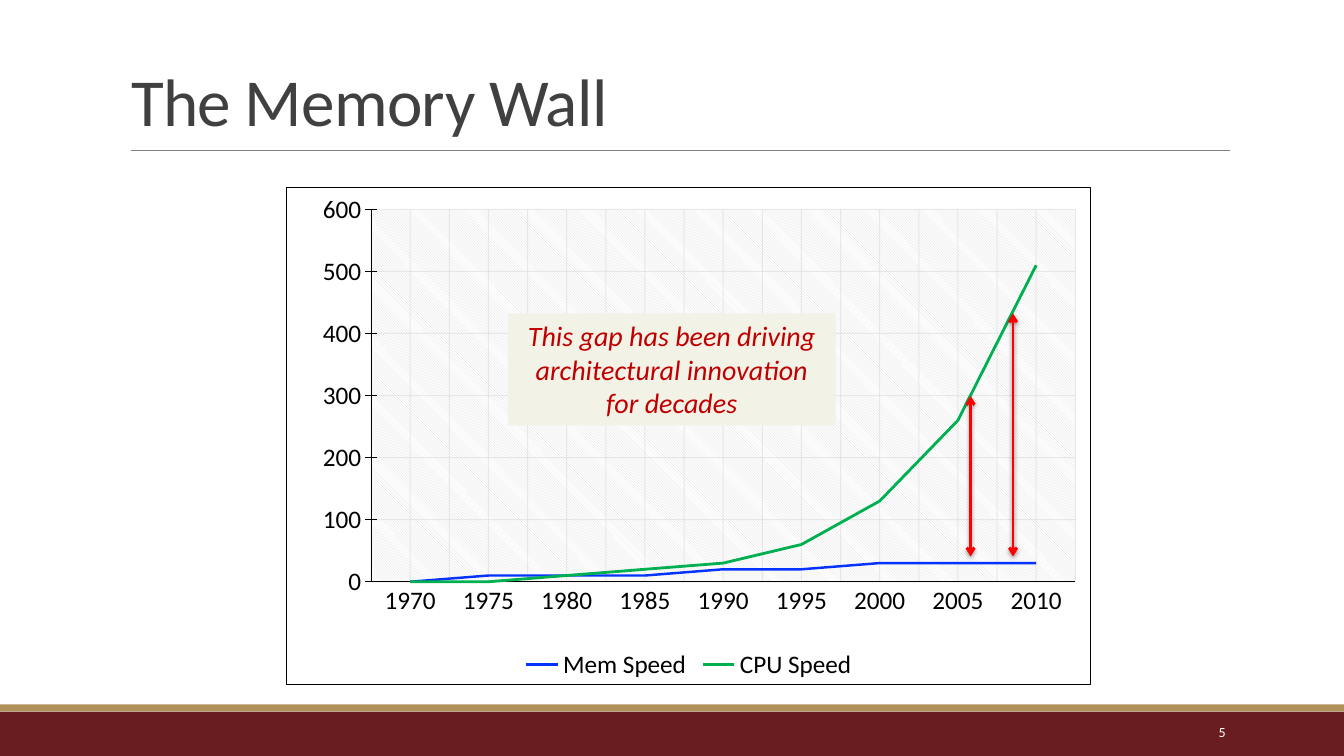
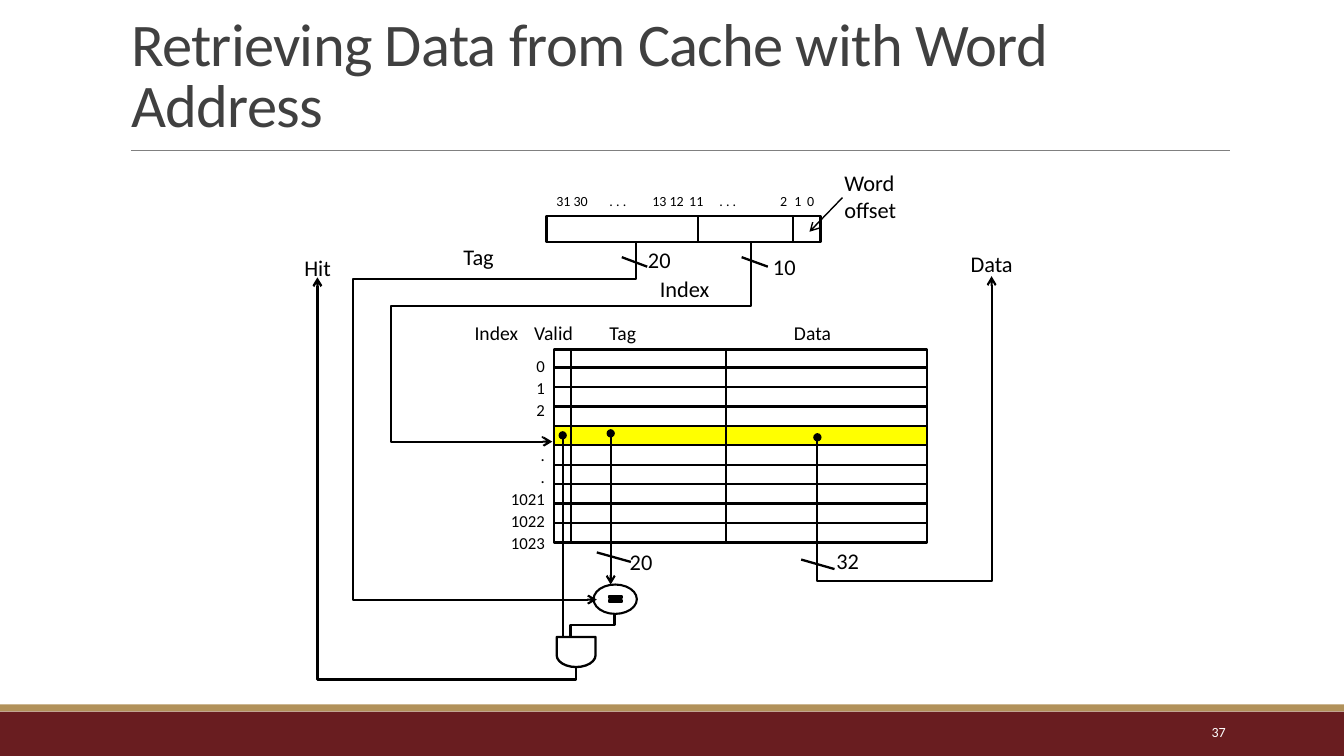
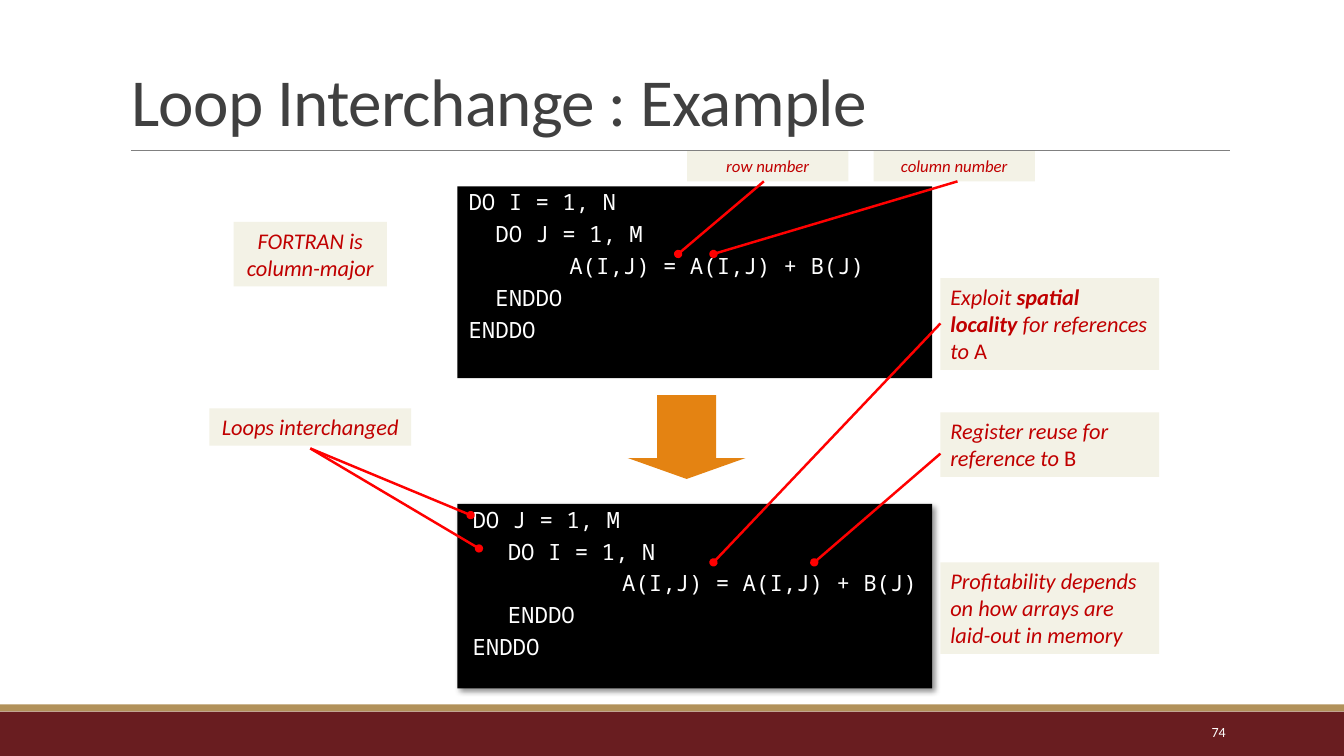
from math import cos, pi, sin

from lxml.etree import SubElement
from pptx import Presentation
from pptx.chart.data import CategoryChartData
from pptx.dml.color import RGBColor
from pptx.enum.chart import XL_CHART_TYPE, XL_LEGEND_POSITION, XL_TICK_MARK
from pptx.enum.shapes import MSO_CONNECTOR, MSO_SHAPE
from pptx.enum.text import MSO_ANCHOR, MSO_AUTO_SIZE, PP_ALIGN
from pptx.oxml import parse_xml
from pptx.oxml.ns import nsdecls, qn
from pptx.util import Cm, Pt

COLORS = {
    "ink": "000000", "white": "FFFFFF", "title": "404040", "rule": "808080",
    "maroon": "691D20", "gold": "B1915A", "note": "F3F2E6", "note_text": "C00000",
    "pointer": "FF0000", "memory": "0432FF", "cpu": "00B050", "grid": "D9D9D9",
    "selected": "FFFF00", "step": "E48312",
}
RGB = {name: RGBColor.from_string(value) for name, value in COLORS.items()}
FONT = "Calibri"
CODE_FONT = "Noto Sans Mono"
NOTE = {"color": "note_text", "fill": "note", "wrap": True, "italic": True}


def add_label(slide, text, box, size=16, color="ink", align=PP_ALIGN.LEFT,
              fill=None, wrap=False, extras=({},), **style):
    label = slide.shapes.add_textbox(*map(Cm, box))
    if fill:
        label.fill.solid()
        label.fill.fore_color.rgb = RGB[fill]
    frame = label.text_frame
    frame.word_wrap = wrap
    for number, line in enumerate(text.split("\n")):
        paragraph = frame.add_paragraph() if number else frame.paragraphs[0]
        paragraph.alignment = align
        for part, extra in zip(line.split("|"), extras):
            run = paragraph.add_run()
            run.text = part
            run.font.color.rgb = RGB[color]
            values = {"name": FONT, "size": Pt(size), **style, **extra}
            for name, value in values.items():
                setattr(run.font, name, value)
    return label


def draw_line(slide, points, color="ink", width=1.5, head=None, tail=None):
    corners = [(Cm(x), Cm(y)) for x, y in points]
    if len(corners) == 2:
        line = slide.shapes.add_connector(MSO_CONNECTOR.STRAIGHT, *corners[0], *corners[1])
    else:
        outline = slide.shapes.build_freeform(*corners[0])
        outline.add_line_segments(corners[1:], close=False)
        line = outline.convert_to_shape()
        line.fill.background()
    line.line.color.rgb = RGB[color]
    line.line.width = Pt(width)
    properties = line.element.spPr
    for end, kind in (("a:headEnd", head), ("a:tailEnd", tail)):
        if kind:
            SubElement(properties.find(qn("a:ln")), qn(end), type=kind)
    SubElement(properties, qn("a:effectLst"))
    return line


deck = Presentation()
deck.slide_width, deck.slide_height = Cm(33.87), Cm(19.05)
layout = deck.slide_layouts[5]

slides = []
for heading, size, page in [
    ("The Memory Wall", 48, "5"),
    ("Retrieving Data from Cache with Word Address", 43.2, "37"),
    ("Loop Interchange : Example", 48, "74"),
]:
    slide = deck.slides.add_slide(layout)
    title = slide.shapes.title
    title.left, title.top, title.width, title.height = map(Cm, (3.05, 0.79, 27.94, 2.87))
    frame = title.text_frame
    frame.text = heading
    for name, value in {"word_wrap": True, "auto_size": MSO_AUTO_SIZE.NONE,
                        "vertical_anchor": MSO_ANCHOR.BOTTOM}.items():
        setattr(frame, name, value)
    paragraph = frame.paragraphs[0]
    paragraph.alignment = PP_ALIGN.LEFT
    paragraph.line_spacing = 0.85
    run = paragraph.runs[0]
    run.font.name, run.font.size = FONT, Pt(size)
    run.font.color.rgb = RGB["title"]
    run.font._rPr.set("spc", "-50")
    page_number = add_label(slide, page, (27.51, 17.93, 3.63, 1.02), 10, "white",
                            PP_ALIGN.RIGHT, wrap=True)
    page_number.text_frame.vertical_anchor = MSO_ANCHOR.MIDDLE
    slides.append(slide)
wall, cache, loops = slides

shared = [draw_line(wall, [(3.3, 3.78), (30.99, 3.78)], "rule", 0.5)]
for top, height, color in [(17.93, 1.12, "maroon"), (17.75, 0.18, "gold")]:
    band = wall.shapes.add_shape(MSO_SHAPE.RECTANGLE, 0, Cm(top), deck.slide_width, Cm(height))
    band.shadow.inherit = False
    band.fill.solid()
    band.fill.fore_color.rgb = RGB[color]
    band.line.fill.background()
    shared.append(band)
for part in shared:
    layout.shapes.element.append(part.element)

speeds = CategoryChartData()
speeds.categories = [str(year) for year in range(1970, 2011, 5)]
speeds.add_series("Mem Speed", (0, 10, 10, 10, 20, 20, 30, 30, 30))
speeds.add_series("CPU Speed", (0, 0, 10, 20, 30, 60, 130, 260, 510))
chart = wall.shapes.add_chart(
    XL_CHART_TYPE.LINE, *map(Cm, (7.21, 4.7, 20.29, 12.57)), speeds).chart
chart.has_title = False
chart.font.name, chart.font.size = FONT, Pt(18)
chart.font.color.rgb = RGB["ink"]
chart.has_legend = True
chart.legend.position = XL_LEGEND_POSITION.BOTTOM
chart.legend.include_in_layout = False
chart.plots[0].vary_by_categories = False
for series, color, width in zip(chart.plots[0].series, ("memory", "cpu"), (1.75, 2)):
    series.smooth = False
    series.format.line.color.rgb = RGB[color]
    series.format.line.width = Pt(width)
years, speed = chart.category_axis, chart.value_axis
for axis, tick in ((years, XL_TICK_MARK.NONE), (speed, XL_TICK_MARK.CROSS)):
    axis.has_major_gridlines = True
    axis.major_tick_mark = tick
    axis.minor_tick_mark = XL_TICK_MARK.NONE
    axis.format.line.color.rgb = RGB["ink"]
    axis.format.line.width = Pt(0.75)
years.has_minor_gridlines = True
speed.minimum_scale, speed.maximum_scale, speed.major_unit = 0, 600, 100

plot_area = chart.element.find(".//" + qn("c:plotArea"))
for grid in plot_area.iter(qn("c:majorGridlines"), qn("c:minorGridlines")):
    grid.append(parse_xml(
        f'<c:spPr {nsdecls("c", "a")}><a:ln w="9525"><a:solidFill>'
        f'<a:srgbClr val="{COLORS["grid"]}"><a:alpha val="54000"/></a:srgbClr>'
        '</a:solidFill></a:ln></c:spPr>'))
for automatic in plot_area.findall(qn("c:layout")):
    plot_area.remove(automatic)
plot_area.insert(0, parse_xml(
    f'<c:layout {nsdecls("c")}><c:manualLayout><c:layoutTarget val="inner"/>'
    '<c:xMode val="edge"/><c:yMode val="edge"/><c:x val="0.105"/><c:y val="0.045"/>'
    '<c:w val="0.876"/><c:h val="0.748"/></c:manualLayout></c:layout>'))
plot_area.append(parse_xml(
    f'<c:spPr {nsdecls("c", "a")}><a:pattFill prst="ltDnDiag">'
    f'<a:fgClr><a:srgbClr val="{COLORS["grid"]}"/></a:fgClr>'
    f'<a:bgClr><a:srgbClr val="{COLORS["white"]}"/></a:bgClr></a:pattFill></c:spPr>'))
chart.element.find(qn("c:chart")).addnext(parse_xml(
    f'<c:spPr {nsdecls("c", "a")}><a:solidFill><a:srgbClr val="{COLORS["white"]}"/></a:solidFill>'
    f'<a:ln w="9525"><a:solidFill><a:srgbClr val="{COLORS["ink"]}"/></a:solidFill></a:ln></c:spPr>'))

add_label(wall, "This gap has been driving architectural innovation for decades",
          (12.8, 7.9, 8.26, 2.82), 20, align=PP_ALIGN.CENTER, **NOTE)
shadows = []
for x, top in [(25.53, 7.9), (24.46, 9.98)]:
    gap = draw_line(wall, [(x, top), (x, 14.02)], "pointer", 2, "arrow", "arrow")
    shadows.append((gap, 38, 3.1, 1.6, 90))

left, right, top, first_row, row_height = 13.97, 23.37, 8.81, 9.26, 0.49
bottom = first_row + 9 * row_height
selected_top = first_row + 3 * row_height
for kind, box, fill, width in [
    (MSO_SHAPE.RECTANGLE, (left, top, right - left, bottom - top), None, 1.63),
    (MSO_SHAPE.RECTANGLE, (left, selected_top, right - left, row_height), "selected", 1.63),
    (MSO_SHAPE.RECTANGLE, (13.77, 5.44, 6.91, 0.66), None, 1.63),
    (MSO_SHAPE.OVAL, (14.96, 14.73, 1.09, 0.74), None, 1.5),
    (MSO_SHAPE.RECTANGLE, (15.34, 15.03, 0.33, 0.05), "ink", 1.5),
    (MSO_SHAPE.RECTANGLE, (15.34, 15.13, 0.33, 0.05), "ink", 1.5),
]:
    block = cache.shapes.add_shape(kind, *map(Cm, box))
    block.shadow.inherit = False
    if fill:
        block.fill.solid()
        block.fill.fore_color.rgb = RGB[fill]
    else:
        block.fill.background()
    block.line.color.rgb = RGB["ink"]
    block.line.width = Pt(width)

row_lines = [[(left, first_row + k * row_height), (right, first_row + k * row_height)]
             for k in range(9)]
dividers = [[(x, start), (x, end)] for x, start, end in [
    (14.39, top, bottom), (18.29, top, bottom), (17.59, 5.44, 6.1), (19.98, 5.44, 6.1)]]
bus_slashes = [[(x, y), (x + width, y + 0.24)] for x, y, width in [
    (15.67, 6.48, 0.64), (18.69, 6.48, 0.66), (15.04, 13.92, 0.86), (20.19, 14.1, 0.84)]]
arc = [(14.52 + 0.49 * cos(k * pi / 12), 16.51 + 0.3 * sin(k * pi / 12)) for k in range(13)]
and_gate = [(14.03, 16.05), (15.01, 16.05), *arc, (14.03, 16.05)]
compare_to_gate = [(15.49, 15.47), (15.49, 15.75), (14.38, 15.75), (14.38, 16.05)]
for points in [*row_lines, *dividers, *bus_slashes, and_gate, compare_to_gate]:
    draw_line(cache, points, width=1.63)

for points, width, head, tail in [
    ([(16.03, 6.1), (16.03, 7.04), (8.89, 7.04), (8.89, 15.11), (15.04, 15.11)], 1.5, None, "arrow"),
    ([(18.92, 6.1), (18.92, 7.72), (9.86, 7.72), (9.86, 11.13), (13.92, 11.13)], 1.5, None, "arrow"),
    ([(20.6, 11.02), (20.6, 14.63), (24.99, 14.63), (24.99, 6.96)], 1.5, "oval", "arrow"),
    ([(14.52, 16.81), (14.52, 17.12), (8, 17.12), (8, 6.99)], 1.63, None, "arrow"),
    ([(15.39, 10.92), (15.39, 14.73)], 1.5, "oval", "arrow"),
    ([(14.18, 10.97), (14.18, 16.05)], 1.63, "oval", None),
    ([(21.23, 4.98), (20.4, 5.84)], 1, None, "arrow"),
]:
    draw_line(cache, points, width=width, head=head, tail=tail)

for text, x, y, width, size in [
    ("Tag", 11.43, 5.99, 1.3, 16), ("20", 16.08, 6.07, 1.09, 16),
    ("10", 19.23, 6.25, 1.09, 16), ("Index", 16.38, 6.81, 1.8, 16),
    ("Hit", 7.42, 6.27, 1.19, 16), ("Data", 24.21, 6.17, 1.57, 16),
    ("20", 15.62, 13.69, 1.09, 16), ("32", 20.83, 13.67, 1.09, 16),
    ("Index", 11.71, 7.95, 1.6, 14), ("Valid", 13.21, 7.95, 1.5, 14),
    ("Tag", 15.11, 7.95, 1.19, 14), ("Data", 19.76, 7.95, 1.45, 14),
]:
    add_label(cache, text, (x, y, width, 0.9), size)
add_label(cache, "Word offset", (21.03, 4.14, 2.34, 1.63), wrap=True)
row_numbers = add_label(cache, "0\n1\n2\n.\n.\n.\n1021\n1022\n1023", (12.07, 8.79, 1.91, 5.33),
                        12, align=PP_ALIGN.RIGHT, wrap=True)
for paragraph in row_numbers.text_frame.paragraphs:
    paragraph.line_spacing = 1.1
bits = add_label(cache, "31 30\t. . .\t13 12\t11\t. . .\t2\t1\t0",
                 (13.77, 4.72, 7.87, 0.69), 10, wrap=True)
bit_tabs = SubElement(bits.text_frame.paragraphs[0]._p.get_or_add_pPr(), qn("a:tabLst"))
for stop in (1.34, 2.42, 3.35, 4.11, 5.64, 6, 6.32):
    SubElement(bit_tabs, qn("a:tab"), pos=f"{Cm(stop)}", algn="l")

for top, height, code, indents in [
    (4.7, 4.83, "DO I = 1, N\n  DO J = 1, M\nA(I,J) = A(I,J) + B(J)\n  ENDDO\nENDDO",
     (0.28, 0.28, 2.82, 0.28, 0.28)),
    (12.7, 4.65, "DO J = 1, M\nDO I = 1, N\nA(I,J) = A(I,J) + B(J)\nENDDO\nENDDO",
     (0.38, 1.27, 4.15, 1.27, 0.38)),
]:
    listing = add_label(loops, code, (11.53, top, 11.96, height), color="white",
                        fill="ink", wrap=True, name=CODE_FONT)
    listing.text_frame.margin_left = listing.text_frame.margin_right = 0
    for number, (paragraph, indent) in enumerate(zip(listing.text_frame.paragraphs, indents)):
        paragraph._p.get_or_add_pPr().set("marL", f"{Cm(indent)}")
        paragraph.line_spacing = 0.9
        paragraph.space_before = Pt(3.5 if number else 0)
        paragraph.space_after = Pt(2)
SubElement(listing.element.spPr, qn("a:effectLst"))
shadows.append((listing, 43, 4, 3, 45))

step = loops.shapes.add_shape(MSO_SHAPE.DOWN_ARROW, *map(Cm, (15.82, 9.96, 2.97, 2.11)))
step.adjustments[0], step.adjustments[1] = 0.5, 0.25
step.shadow.inherit = False
step.fill.solid()
step.fill.fore_color.rgb = RGB["step"]
step.line.fill.background()

upright = {"italic": False}
for text, box, size, align, extras in [
    ("Loops interchanged", (5.28, 10.29, 5.08, 0.94), 16, PP_ALIGN.CENTER, ({},)),
    ("FORTRAN is column-major", (5.89, 5.59, 3.86, 1.63), 16, PP_ALIGN.CENTER, ({},)),
    ("row number", (17.32, 3.81, 4.06, 0.76), 12, PP_ALIGN.CENTER, ({},)),
    ("column number", (22.02, 3.81, 4.06, 0.76), 12, PP_ALIGN.CENTER, ({},)),
    ("Exploit| spatial locality |for references to |A", (23.7, 7.01, 5.51, 2.31), 16,
     PP_ALIGN.LEFT, ({}, {"bold": True}, {}, upright)),
    ("Register reuse for reference to |B", (23.7, 10.39, 5.51, 1.63), 16,
     PP_ALIGN.LEFT, ({}, upright)),
    ("Profitability depends on how arrays are laid-out in memory", (23.7, 14.17, 5.51, 2.31), 16,
     PP_ALIGN.LEFT, ({},)),
]:
    add_label(loops, text, box, size, align=align, extras=extras, **NOTE)

for start, target in [
    ((7.82, 11.3), (11.86, 12.98)), ((7.82, 11.3), (12.07, 13.82)),
    ((23.7, 8.15), (17.98, 14.17)), ((23.7, 11.43), (20.52, 14.17)),
    ((19.25, 4.57), (17.09, 6.4)), ((24.13, 4.57), (17.98, 6.4)),
]:
    draw_line(loops, [start, target], "pointer", 1.75, tail="oval")

for caster, alpha, blur, distance, angle in shadows:
    shadow = SubElement(caster.element.spPr.find(qn("a:effectLst")), qn("a:outerShdw"),
                        blurRad=f"{Pt(blur)}", dist=f"{Pt(distance)}",
                        dir=f"{angle * 60000}", algn="ctr", rotWithShape="0")
    tint = SubElement(shadow, qn("a:srgbClr"), val=COLORS["ink"])
    SubElement(tint, qn("a:alpha"), val=f"{alpha * 1000}")

deck.save("out.pptx")
